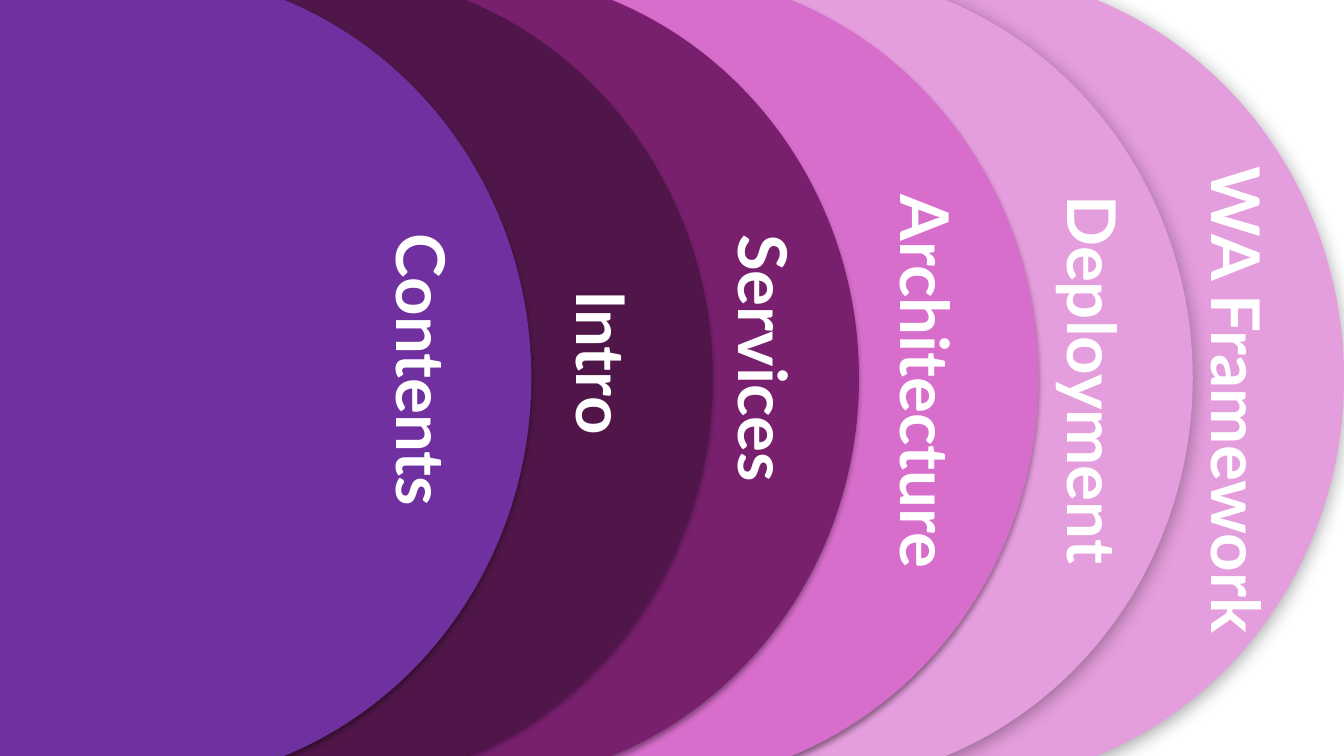
"""Build a contents slide of overlapping discs with vertical labels."""
from lxml import etree
from pptx import Presentation
from pptx.dml.color import RGBColor
from pptx.enum.shapes import MSO_SHAPE
from pptx.enum.text import MSO_AUTO_SIZE
from pptx.oxml.ns import qn
from pptx.util import Inches, Pt

SLIDE_WIDTH, SLIDE_HEIGHT = 13.33, 7.5
DISC_TOP, DISC_WIDTH, DISC_HEIGHT = -0.28, 7.74, 8.06
LABEL_HEIGHT = 0.91
WHITE, BLACK = "FFFFFF", "000000"

# (disc left, fill, shadow blur in points)
DISCS = [
    (5.59, "E59EDD", 14),
    (4.09, "E59EDD", 14),
    (2.56, "D86ECC", 4),
    (0.78, "78206E", 4),
    (-0.67, "501649", 4),
    (-2.47, "7030A0", 4),
]
# (text, left, top, width) before rotation
LABELS = [
    ("Contents", 2.67, 3.29, 3.05),
    ("Intro", 5, 3.3, 1.95),
    ("Services", 6.13, 3.23, 2.92),
    ("Architecture", 7.15, 3.42, 4.08),
    ("Deployment", 8.81, 3.42, 4.07),
    ("WA Framework", 9.79, 3.59, 4.98),
]


def color(value):
    return RGBColor.from_string(value)


def add_shadow(shape, blur):
    effects = etree.SubElement(shape._element.spPr, qn("a:effectLst"))
    shadow = etree.SubElement(
        effects, qn("a:outerShdw"), blurRad=str(Pt(blur)), dist=str(Pt(3)),
        dir=str(90 * 60000), algn="t", rotWithShape="0")
    tint = etree.SubElement(shadow, qn("a:srgbClr"), val=BLACK)
    etree.SubElement(tint, qn("a:alpha"), val="40000")


def add_disc(slide, left, fill, blur):
    disc = slide.shapes.add_shape(
        MSO_SHAPE.FLOWCHART_CONNECTOR, Inches(left), Inches(DISC_TOP),
        Inches(DISC_WIDTH), Inches(DISC_HEIGHT))
    disc.fill.solid()
    disc.fill.fore_color.rgb = color(fill)
    disc.line.fill.background()
    add_shadow(disc, blur)


def add_label(slide, text, left, top, width):
    label = slide.shapes.add_textbox(
        Inches(left), Inches(top), Inches(width), Inches(LABEL_HEIGHT))
    label.rotation = 90
    frame = label.text_frame
    frame.word_wrap = True
    frame.auto_size = MSO_AUTO_SIZE.SHAPE_TO_FIT_TEXT
    frame.text = text
    font = frame.paragraphs[0].runs[0].font
    font.name, font.size, font.bold = "Lato", Pt(48), True
    font.color.rgb = color(WHITE)


def main():
    presentation = Presentation()
    presentation.slide_width = Inches(SLIDE_WIDTH)
    presentation.slide_height = Inches(SLIDE_HEIGHT)
    slide = presentation.slides.add_slide(presentation.slide_layouts[6])
    for disc in DISCS:
        add_disc(slide, *disc)
    for label in LABELS:
        add_label(slide, *label)
    presentation.save("out.pptx")


if __name__ == "__main__":
    main()
